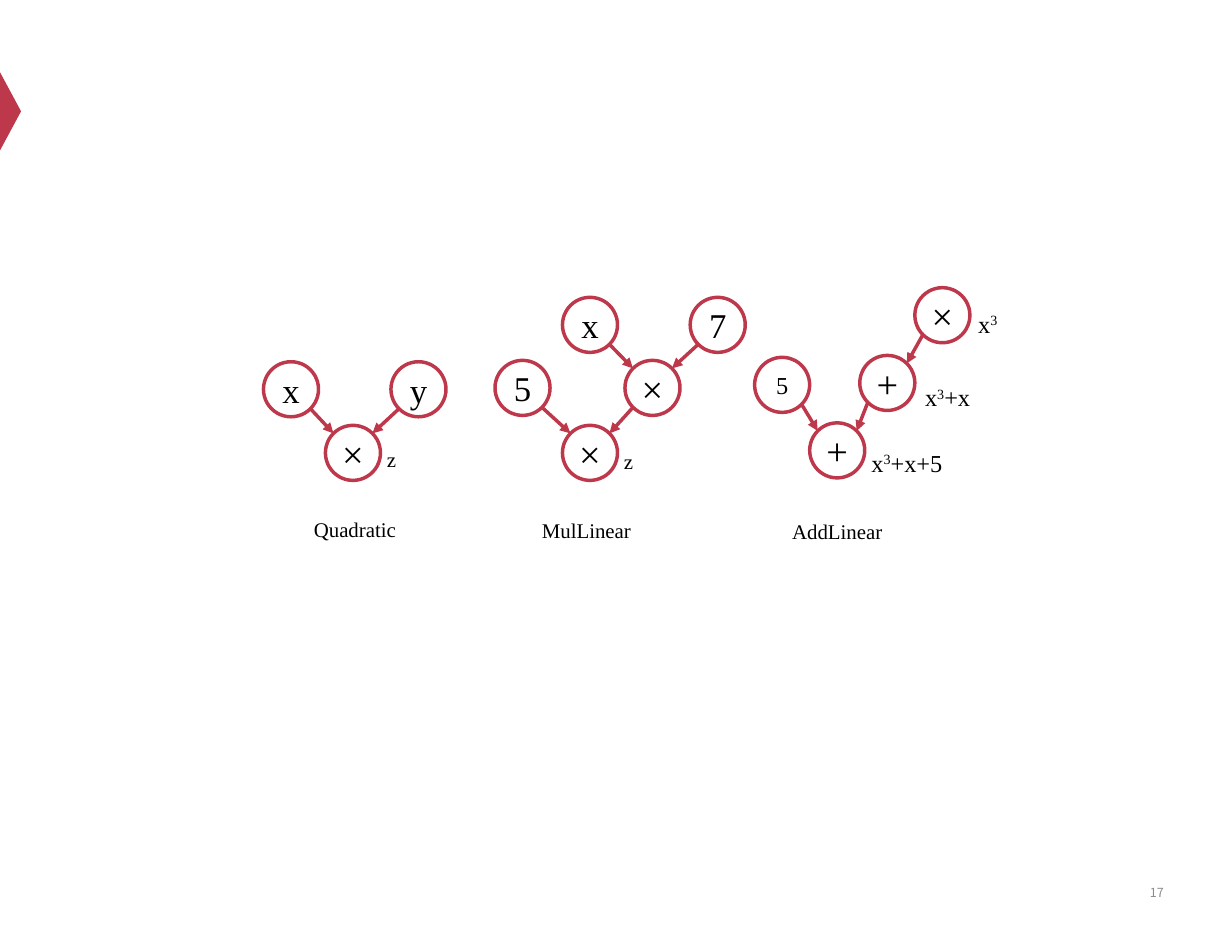
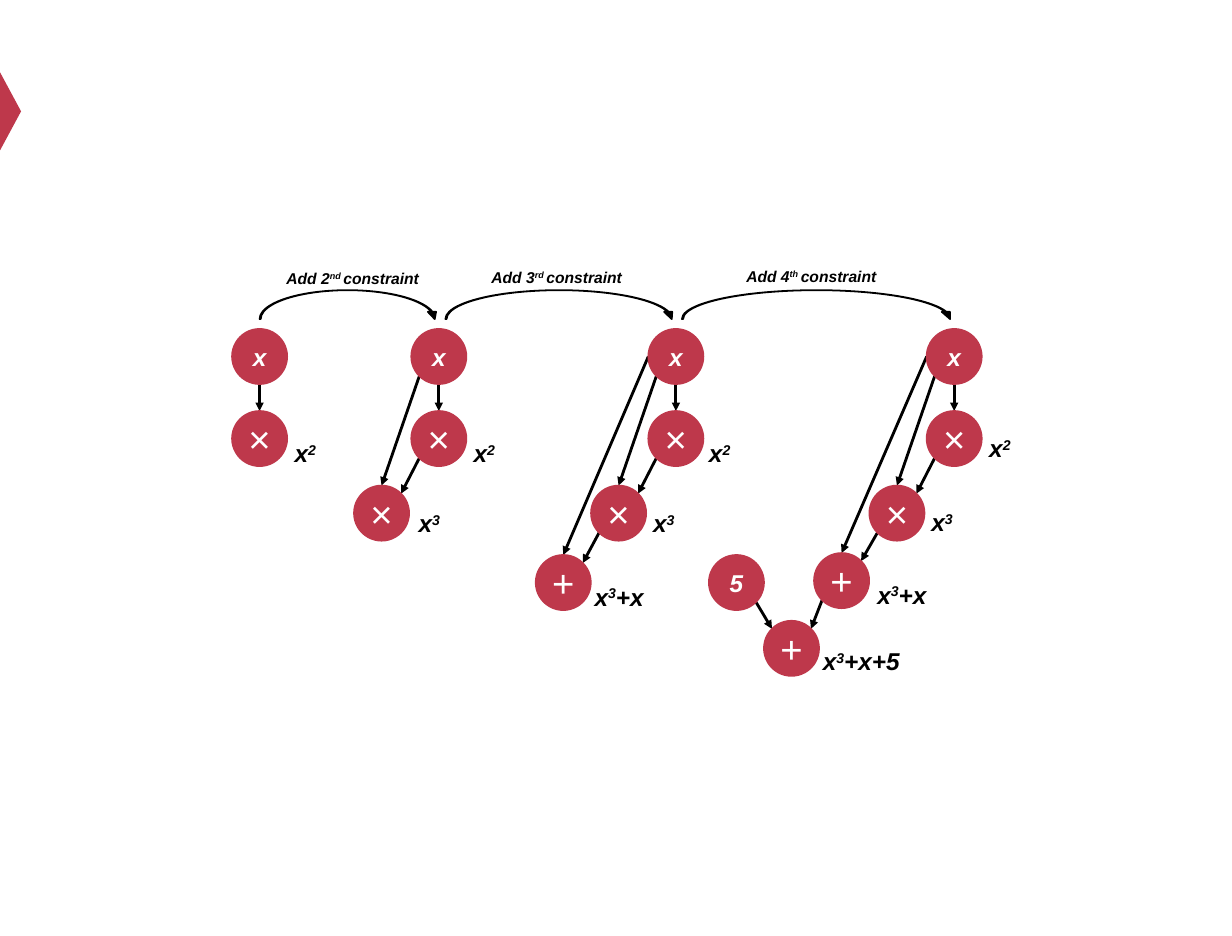
"""Two slides that build arithmetic circuits from constraint gates."""
from dataclasses import dataclass
from enum import Enum
from math import sqrt
from typing import NamedTuple, Optional

from lxml.etree import SubElement
from pptx import Presentation
from pptx.dml.color import RGBColor
from pptx.enum.shapes import MSO_CONNECTOR, MSO_SHAPE
from pptx.enum.text import MSO_ANCHOR, MSO_AUTO_SIZE, PP_ALIGN
from pptx.oxml.ns import qn
from pptx.util import Inches, Length, Pt

COLUMNS, ROWS = 44.75, 34
CELL = 0.44
DIAGONAL = sqrt(0.5)
OPERATORS = "×+"


@dataclass(frozen=True)
class Theme:
    """Colours and type sizes of the deck."""
    red: RGBColor = RGBColor(0xBE, 0x38, 0x4B)
    black: RGBColor = RGBColor(0, 0, 0)
    white: RGBColor = RGBColor(255, 255, 255)
    grey: RGBColor = RGBColor(0x8C, 0x8C, 0x8C)
    operator: float = 44
    letter: float = 40
    formula: float = 28
    caption: float = 24
    step: float = 18
    page_number: float = 14.4


THEME = Theme()


@dataclass(frozen=True)
class TextStyle:
    """Look of one kind of text."""
    font: str
    size: float
    colour: RGBColor = THEME.black
    emphasis: bool = False


@dataclass(frozen=True)
class GraphStyle:
    """Look of the gates and wires of one circuit."""
    letter: TextStyle
    operator: TextStyle
    fill: Optional[RGBColor]
    outline: float
    wire: RGBColor
    wire_width: float


SERIF, SANS = "Times New Roman", "Arial"
FORMULA = TextStyle(SERIF, THEME.formula)
CAPTION = TextStyle(SERIF, THEME.caption)
BOLD_FORMULA = TextStyle(SANS, THEME.formula, emphasis=True)
STEP_CAPTION = TextStyle(SANS, THEME.step, emphasis=True)
PAGE_NUMBER = TextStyle("Noto Sans CJK SC", THEME.page_number, THEME.grey)
OUTLINED = GraphStyle(TextStyle(SERIF, THEME.letter), TextStyle(SERIF, THEME.operator),
                      None, 4, THEME.red, 4)
FILLED = GraphStyle(TextStyle(SANS, THEME.formula, THEME.white, True),
                    TextStyle(SANS, THEME.operator, THEME.white),
                    THEME.red, 2, THEME.black, 3.25)


class Site(Enum):
    """Points on a gate's rim, in radii from its centre."""
    TOP = (0, -1)
    LEFT = (-1, 0)
    BOTTOM = (0, 1)
    TOP_LEFT = (-DIAGONAL, -DIAGONAL)
    TOP_RIGHT = (DIAGONAL, -DIAGONAL)
    BOTTOM_LEFT = (-DIAGONAL, DIAGONAL)
    BOTTOM_RIGHT = (DIAGONAL, DIAGONAL)


class Gate(NamedTuple):
    """Circle centred on a grid point."""
    sign: str
    column: float
    row: float
    style: Optional[TextStyle] = None


class Wire(NamedTuple):
    """Arrow from one gate's rim to another's."""
    source: int
    target: int
    start: Site
    end: Site


class Label(NamedTuple):
    """Text centred on a column, with its top on a row; ^ toggles superscript."""
    text: str
    column: float
    row: float
    width: float
    height: float
    style: TextStyle


class Circuit(NamedTuple):
    """Gates, wires and labels of one gate type."""
    gates: list[Gate]
    wires: list[Wire]
    labels: list[Label]


class Stage(NamedTuple):
    """Number of gates, root column and label points of a construction stage."""
    gate_count: int
    root: float
    label_points: list[tuple[float, float]]
    sum_row: float = 21.16


class Jump(NamedTuple):
    """Caption and start gap of the arrow from one stage to the next."""
    caption: str
    column: float
    row: float
    gap: float


FROM_LEFT = (Site.BOTTOM_RIGHT, Site.TOP_LEFT)
FROM_RIGHT = (Site.BOTTOM_LEFT, Site.TOP_RIGHT)

CIRCUITS = [
    Circuit(
        [Gate("x", 10.57, 14.14), Gate("y", 15.2, 14.14), Gate("×", 12.82, 16.45)],
        [Wire(0, 2, *FROM_LEFT), Wire(1, 2, *FROM_RIGHT)],
        [Label("z", 14.22, 16.11, 1.05, 1.14, CAPTION),
         Label("Quadratic", 12.89, 18.66, 6.64, 1.14, CAPTION)]),
    Circuit(
        [Gate("x", 21.43, 11.8), Gate("7", 26.07, 11.8), Gate("5", 18.98, 14.09),
         Gate("×", 23.7, 14.09), Gate("×", 21.43, 16.45)],
        [Wire(0, 3, *FROM_LEFT), Wire(1, 3, *FROM_RIGHT),
         Wire(2, 4, *FROM_LEFT), Wire(3, 4, *FROM_RIGHT)],
        [Label("z", 22.83, 16.18, 1.05, 1.14, CAPTION),
         Label("MulLinear", 21.3, 18.68, 6.64, 1.14, CAPTION)]),
    Circuit(
        [Gate("×", 34.23, 11.45), Gate("+", 32.23, 13.91),
         Gate("5", 28.41, 13.98, FORMULA), Gate("+", 30.41, 16.36)],
        [Wire(0, 1, *FROM_RIGHT), Wire(1, 3, *FROM_RIGHT), Wire(2, 3, *FROM_LEFT)],
        [Label("x^3", 35.88, 11.11, 2, 1.3, FORMULA),
         Label("x^3^+x", 34.42, 13.77, 2.89, 1.3, FORMULA),
         Label("x^3^+x+5", 32.94, 16.16, 3.89, 1.3, FORMULA),
         Label("AddLinear", 30.41, 18.73, 6.64, 1.14, CAPTION)]),
]

STAGE_WIRES = [
    Wire(0, 1, Site.BOTTOM, Site.TOP),
    Wire(0, 2, Site.BOTTOM_LEFT, Site.TOP), Wire(1, 2, *FROM_RIGHT),
    Wire(0, 3, Site.LEFT, Site.TOP), Wire(2, 3, *FROM_RIGHT),
    Wire(3, 5, *FROM_RIGHT), Wire(4, 5, *FROM_LEFT),
]
STAGE_FORMULAS = [("x^2", 2.1), ("x^3", 2.1), ("x^3^+x", 2.89), ("x^3^+x+5", 3.89)]
STAGES = [
    Stage(2, 9.43, [(11.09, 15.8)]),
    Stage(3, 15.94, [(17.59, 15.8), (15.59, 18.34)]),
    Stage(4, 24.55, [(26.14, 15.8), (24.11, 18.34), (22.49, 21.02)]),
    Stage(6, 34.66, [(36.32, 15.64), (34.22, 18.32), (32.76, 20.95), (31.28, 23.36)], 21.09),
]
JUMPS = [
    Jump("Add 2^nd ^constraint", 12.81, 9.64, 0),
    Jump("Add 3^rd ^constraint", 20.22, 9.61, 0.24),
    Jump("Add 4^th ^constraint", 29.47, 9.57, 0.22),
]


def cells(count: float) -> Length:
    """Turn grid cells into a length."""
    return Inches(count * CELL)


def write(frame, text: str, style: TextStyle, align=PP_ALIGN.CENTER) -> None:
    """Write text run by run, raising every second part."""
    paragraph = frame.paragraphs[0]
    paragraph.alignment = align
    for position, part in enumerate(text.split("^")):
        if not part:
            continue
        run = paragraph.add_run()
        run.text = part
        run.font.name = style.font
        run.font.size = Pt(style.size)
        run.font.color.rgb = style.colour
        run.font.bold = run.font.italic = style.emphasis
        if position % 2:
            run.font._element.set("baseline", "30000")


def draw_label(slide, label: Label, align=PP_ALIGN.CENTER, anchor=MSO_ANCHOR.TOP) -> None:
    """Draw a text box."""
    box = slide.shapes.add_textbox(cells(label.column - label.width / 2), cells(label.row),
                                   cells(label.width), cells(label.height))
    frame = box.text_frame
    frame.word_wrap = True
    frame.vertical_anchor = anchor
    if anchor == MSO_ANCHOR.TOP:
        frame.auto_size = MSO_AUTO_SIZE.SHAPE_TO_FIT_TEXT
    write(frame, label.text, label.style, align)


def draw_preset(slide, preset, left: float, top: float, width: float, height: float,
                fill: Optional[RGBColor], line: RGBColor, outline: float):
    """Draw a preset shape without shadow."""
    shape = slide.shapes.add_shape(preset, cells(left), cells(top), cells(width), cells(height))
    shape.shadow.inherit = False
    if fill is None:
        shape.fill.background()
    else:
        shape.fill.solid()
        shape.fill.fore_color.rgb = fill
    if outline:
        shape.line.color.rgb = line
        shape.line.width = Pt(outline)
    else:
        shape.line.fill.background()
    return shape


def draw_gate(slide, gate: Gate, style: GraphStyle) -> None:
    """Draw a circle with its sign."""
    circle = draw_preset(slide, MSO_SHAPE.OVAL, gate.column - 1, gate.row - 1, 2, 2,
                         style.fill, THEME.red, style.outline)
    frame = circle.text_frame
    frame.word_wrap = False
    frame.vertical_anchor = MSO_ANCHOR.MIDDLE
    frame.margin_left = frame.margin_right = frame.margin_top = frame.margin_bottom = 0
    usual = style.operator if gate.sign in OPERATORS else style.letter
    write(frame, gate.sign, gate.style or usual)


def draw_wire(slide, gates: list[Gate], wire: Wire, style: GraphStyle) -> None:
    """Draw an arrow between two gates."""
    points = []
    for gate, site in ((gates[wire.source], wire.start), (gates[wire.target], wire.end)):
        across, down = site.value
        points += [cells(gate.column + across), cells(gate.row + down)]
    arrow = slide.shapes.add_connector(MSO_CONNECTOR.STRAIGHT, *points)
    arrow.line.color.rgb = style.wire
    arrow.line.width = Pt(style.wire_width)
    SubElement(arrow.line._get_or_add_ln(), qn("a:tailEnd"), type="triangle")
    SubElement(arrow.element.spPr, qn("a:effectLst"))


def draw_circuit(slide, circuit: Circuit, style: GraphStyle) -> None:
    """Draw wires, labels and gates, back to front."""
    for wire in circuit.wires:
        draw_wire(slide, circuit.gates, wire, style)
    for label in circuit.labels:
        draw_label(slide, label)
    for gate in circuit.gates:
        draw_gate(slide, gate, style)


def stage_circuit(stage: Stage) -> Circuit:
    """Build the circuit reached after a stage's constraints."""
    root = stage.root
    gates = [Gate("x", root, 12.95), Gate("×", root, 15.93), Gate("×", root - 2.08, 18.64),
             Gate("+", root - 4.09, stage.sum_row), Gate("5", root - 7.91, 21.16),
             Gate("+", root - 5.91, 23.55)][:stage.gate_count]
    wires = [wire for wire in STAGE_WIRES if wire.target < stage.gate_count]
    labels = [Label(text, column, row, width, 1.3, BOLD_FORMULA)
              for (text, width), (column, row) in zip(STAGE_FORMULAS, stage.label_points)]
    return Circuit(gates, wires, labels)


def draw_jump(slide, jump: Jump, start: Stage, end: Stage) -> None:
    """Draw the curved arrow and caption between two stages."""
    left = start.root + jump.gap
    arrow = draw_preset(slide, MSO_SHAPE.CURVED_DOWN_ARROW, left, 10.54, end.root - left, 1.05,
                        THEME.black, THEME.black, 2)
    for position, share in enumerate((0.039, 0.283, 0.25)):
        arrow.adjustments[position] = share
    draw_label(slide, Label(jump.caption, jump.column, jump.row, 6.52, 0.91, STEP_CAPTION))


def main() -> None:
    """Build and save the deck."""
    deck = Presentation()
    deck.slide_width, deck.slide_height = cells(COLUMNS), cells(ROWS)
    layout = deck.slide_layouts[6]
    gates_slide, stages_slide = (deck.slides.add_slide(layout) for _ in range(2))

    marker = draw_preset(gates_slide, MSO_SHAPE.ISOSCELES_TRIANGLE, -1.05, 3.66, 2.86, 0.77,
                         THEME.red, THEME.red, 0)
    marker.rotation = 90
    layout.shapes.element.append(marker.element)

    for circuit in CIRCUITS:
        draw_circuit(gates_slide, circuit, OUTLINED)
    draw_label(gates_slide, Label("17", 37.28, 31.52, 10.43, 1.82, PAGE_NUMBER),
               PP_ALIGN.RIGHT, MSO_ANCHOR.MIDDLE)

    for stage in STAGES:
        draw_circuit(stages_slide, stage_circuit(stage), FILLED)
    for jump, start, end in zip(JUMPS, STAGES, STAGES[1:]):
        draw_jump(stages_slide, jump, start, end)
    deck.save("out.pptx")


if __name__ == "__main__":
    main()
